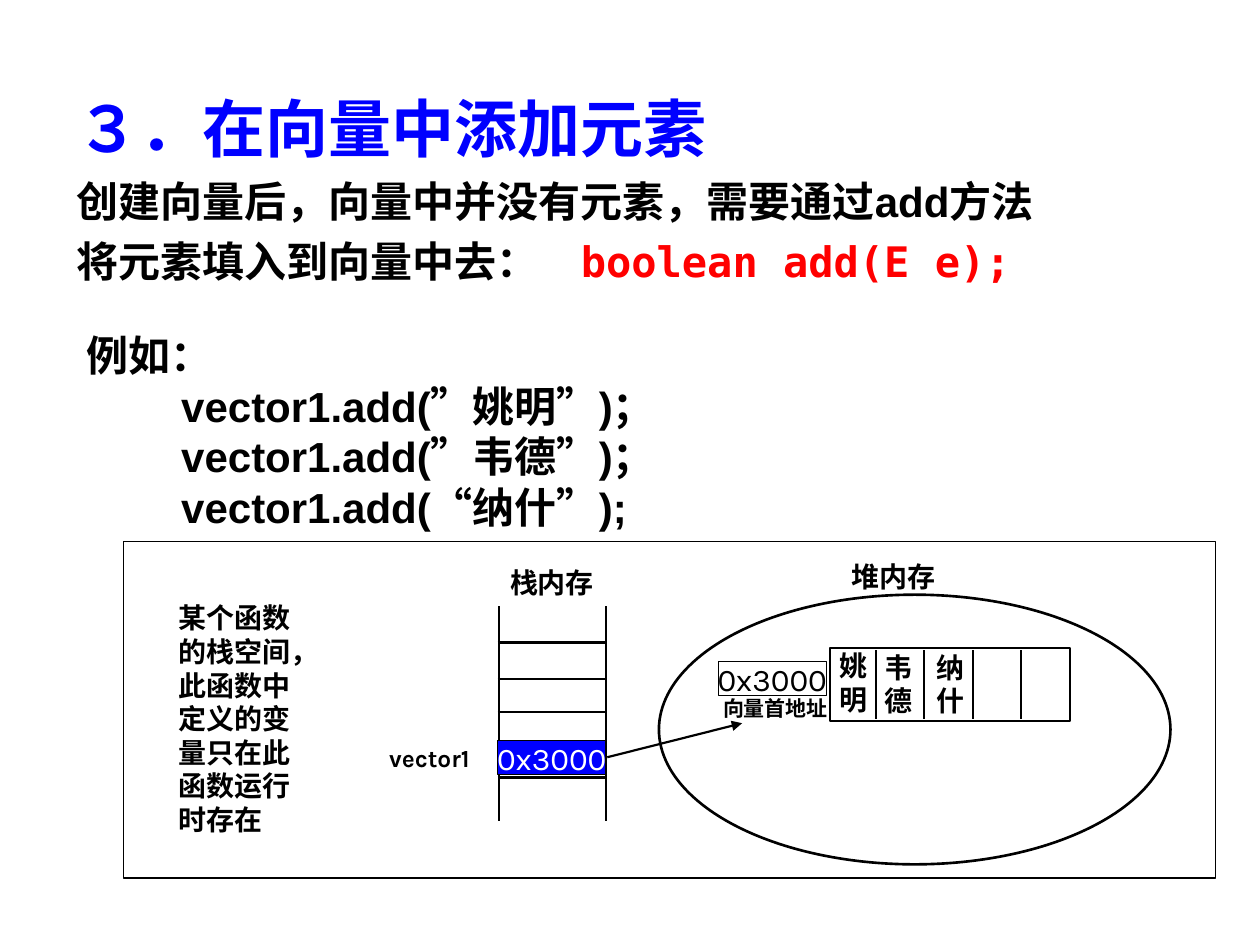
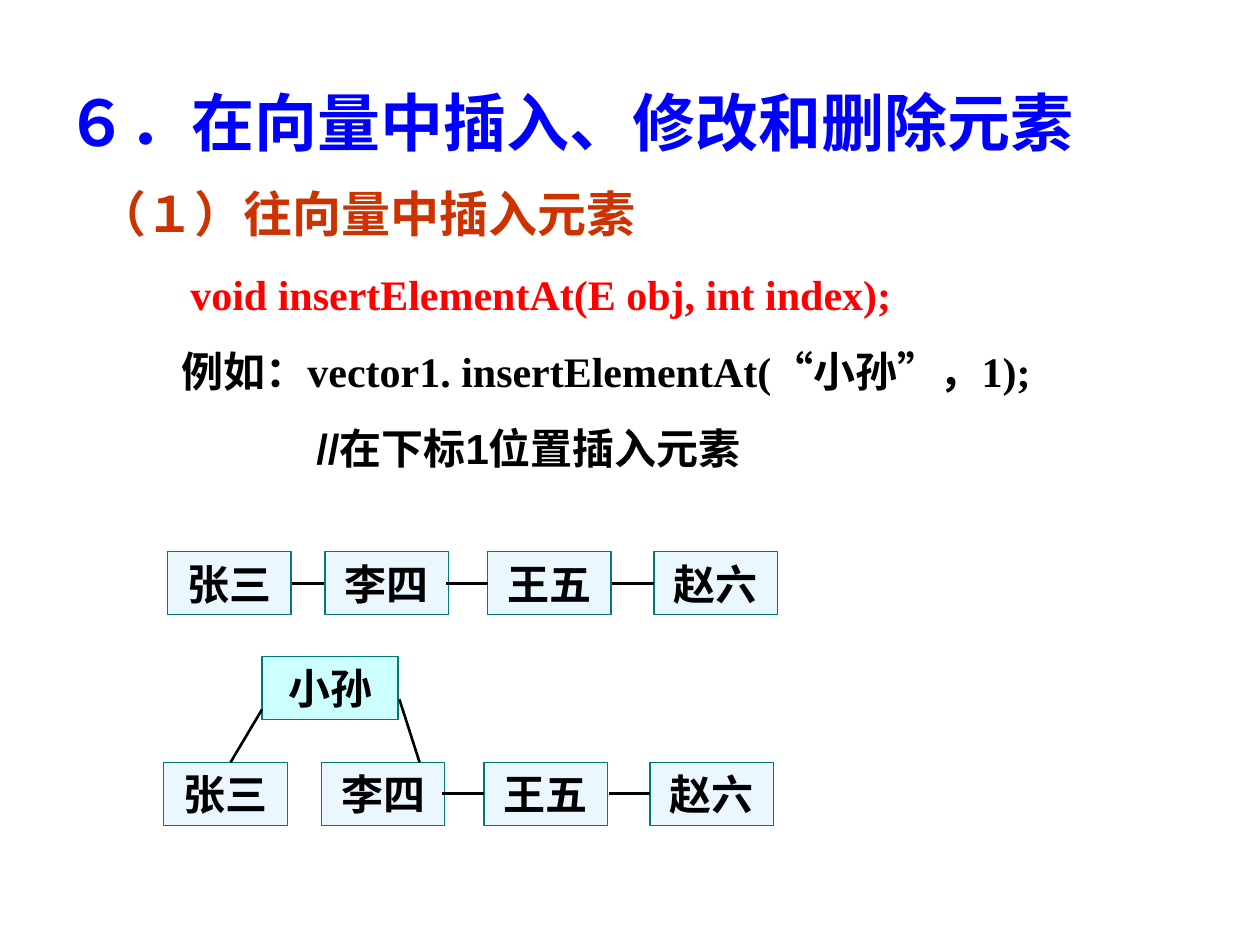
import lxml.etree
import pptx
import pptx.dml.color
import pptx.enum.dml
import pptx.enum.lang
import pptx.enum.shapes
import pptx.enum.text
import pptx.oxml.ns
import pptx.util

BLACK, WHITE, BLUE, RED = "000000", "FFFFFF", "0000FF", "FF0000"
ORANGE, TEAL, PALE_BLUE, PALE_CYAN = "CC3300", "007A77", "EBF7FF", "CCFFFF"
TITLE = dict(size=36, color=BLUE)
LABEL = dict(font="Karla", size=16)
qn = pptx.oxml.ns.qn
Inches = pptx.util.Inches


def draw(slide, kind, place, fill=None, line=BLACK, width=0.75, arrow=False):
    """Add a text box, a line (place holds both ends) or a preset shape."""
    place = [Inches(value) for value in place]
    if kind == "text":
        return slide.shapes.add_textbox(*place)
    if kind == "line":
        shape = slide.shapes.add_connector(pptx.enum.shapes.MSO_CONNECTOR.STRAIGHT, *place)
    else:
        preset = getattr(pptx.enum.shapes.MSO_SHAPE, kind.upper())
        shape = slide.shapes.add_shape(preset, *place)
        shape.shadow.inherit = False
        if fill:
            shape.fill.solid()
            shape.fill.fore_color.rgb = pptx.dml.color.RGBColor.from_string(fill)
        else:
            shape.fill.background()
    shape.line.color.rgb = pptx.dml.color.RGBColor.from_string(line)
    shape.line.width = pptx.util.Pt(width)
    if kind == "line":
        properties = shape._element.spPr
        if arrow:
            lxml.etree.SubElement(properties.find(qn("a:ln")), qn("a:tailEnd"), type="triangle")
        lxml.etree.SubElement(properties, qn("a:effectLst"))
    return shape


def write(shape, *paragraphs, place=None, size=24, font="Arial", color=BLACK, bold=True,
          align="LEFT", anchor="TOP", wrap=True, inset=None, spacing=1.2, before=0,
          indents=(), tab=None):
    """Each paragraph is a list of (text, format) runs, or plain text."""
    if place:
        shape.left, shape.top, shape.width, shape.height = [Inches(value) for value in place]
    frame = shape.text_frame
    frame.word_wrap = wrap
    frame.auto_size = pptx.enum.text.MSO_AUTO_SIZE.NONE
    frame.vertical_anchor = getattr(pptx.enum.text.MSO_ANCHOR, anchor)
    if inset is not None:
        frame.margin_left = frame.margin_right = Inches(inset)
        frame.margin_top = frame.margin_bottom = Inches(inset)
    for index, runs in enumerate(paragraphs):
        runs = [(runs, {})] if isinstance(runs, str) else runs
        paragraph = frame.add_paragraph() if index else frame.paragraphs[0]
        paragraph.alignment = getattr(pptx.enum.text.PP_ALIGN, align)
        largest = max(style.get("size", size) for _, style in runs)
        paragraph.line_spacing = pptx.util.Pt(largest * spacing)
        paragraph.space_before = pptx.util.Pt(before)
        paragraph.space_after = pptx.util.Pt(0)
        properties = paragraph._p.get_or_add_pPr()
        properties.set("marL", str(Inches(indents[index] if indents else 0)))
        properties.set("indent", "0")
        lxml.etree.SubElement(properties, qn("a:buNone"))
        if tab:
            stops = lxml.etree.SubElement(properties, qn("a:tabLst"))
            lxml.etree.SubElement(stops, qn("a:tab"), pos=str(Inches(tab)), algn="l")
        for text, style in runs:
            run = paragraph.add_run()
            run.text = text
            run.font.name = style.get("font", font)
            run.font.size = pptx.util.Pt(style.get("size", size))
            run.font.bold = bold
            run.font.language_id = pptx.enum.lang.MSO_LANGUAGE_ID.SIMPLIFIED_CHINESE
            run.font.color.rgb = pptx.dml.color.RGBColor.from_string(style.get("color", color))


presentation = pptx.Presentation()
presentation.slide_width, presentation.slide_height = Inches(10), Inches(7.5)
layout = presentation.slide_layouts[1]

# Slide 1: adding elements
slide = presentation.slides.add_slide(layout)
write(slide.shapes.title, "３．在向量中添加元素", place=(0.51, 0.54, 7.99, 0.82), spacing=1.44, **TITLE)
write(slide.placeholders[1],
      [("创建向量后，向量中并没有元素，需要通过add方法将元素填入到向量中去：\t", {}),
       ("boolean add(E\u00a0e);".replace("\u00a0", " "), dict(font="DejaVu Sans Mono", color=RED))],
      place=(0.51, 1.26, 7.99, 1.26), spacing=1.44, tab=4.42)

# Memory diagram: frame, heap and vector array
draw(slide, "rectangle", (0.98, 4.3, 8.67, 2.67), WHITE)
draw(slide, "oval", (5.23, 4.72, 4.06, 2.14), WHITE, width=1.5)
draw(slide, "rectangle", (6.59, 5.14, 1.9, 0.58), WHITE, width=1)

# Stack walls and rungs, array dividers, reference arrow
for x in (3.96, 4.81):
    draw(slide, "line", (x, 4.81, x, 6.52), width=1.5)
for y in (5.1, 5.39, 5.65, 5.9, 6.17):
    draw(slide, "line", (3.95, y, 4.82, y), width=1.5)
for column in range(4):
    x = 6.95 + column * 0.385
    draw(slide, "line", (x, 5.16, x, 5.71), width=1)
draw(slide, "line", (4.82, 6.01, 5.89, 5.74), width=1.25, arrow=True)

# Address cells
for left, top, fill, color in ((3.95, 5.88, BLUE, WHITE), (5.7, 5.25, None, BLACK)):
    cell = draw(slide, "rectangle", (left, top, 0.86, 0.27), fill)
    write(cell, "0x3000", font="Karla", size=18, color=color, bold=False,
          align="CENTER", anchor="MIDDLE", wrap=False)

# Diagram labels
for text, place, size in (("栈内存", (3.95, 4.44, 0.86, 0.37), 16),
                          ("堆内存", (6.66, 4.39, 0.86, 0.37), 16),
                          ("vector1", (2.99, 5.85, 0.93, 0.34), 14),
                          ("向量首地址", (5.64, 5.47, 1.03, 0.3), 12)):
    write(draw(slide, "text", place), text, font="Karla", size=size, wrap=False)
write(draw(slide, "text", (1.32, 4.72, 1.13, 1.97)),
      "某个函数的栈空间，此函数中定义的变量只在此函数运行时存在", **LABEL)
for text, left, top in (("姚明", 6.66, 5.15), ("韦德", 7.02, 5.16), ("纳什", 7.43, 5.16)):
    write(draw(slide, "text", (left, top, 0.33, 0.53)), text, inset=0, **LABEL)

# Code example
write(draw(slide, "text", (0.59, 2.57, 8.74, 1.7)),
      "例如：", "vector1.add(”姚明”)；", "vector1.add(”韦德”)；", "vector1.add(“纳什”);",
      indents=(0, 0.75, 0.75, 0.75))

# Slide 2: inserting elements
slide = presentation.slides.add_slide(layout)
write(slide.shapes.title, "６．在向量中插入、修改和删除元素", place=(0.42, 0.61, 9.07, 0.7), **TITLE)
serif = dict(font="Times New Roman")
write(slide.placeholders[1],
      [("（１）往向量中插入元素", dict(font="Noto Sans CJK SC", size=28, color=ORANGE))],
      [("void insertElementAt(E obj, int index);", dict(serif, color=RED))],
      [("例如：", {}), ("vector1. insertElementAt(“小孙”，1);", serif)],
      "//在下标1位置插入元素",
      place=(0.67, 1.41, 8.33, 2.39), before=15, indents=(0, 0.74, 0.67, 1.74))

# Linked elements before and after the insertion
names = ("张三", "李四", "王五", "赵六")
offsets = (0, 1.25, 2.54, 3.86)
links = ((0.99, 1.24), (2.21, 2.54), (3.53, 3.86))
nodes = [("小孙", 2.08, 5.21, 1.08, PALE_CYAN)]
for row_left, row_top in ((1.33, 4.38), (1.3, 6.05)):
    nodes += [(name, row_left + offset, row_top, 0.98, PALE_BLUE)
              for name, offset in zip(names, offsets)]
for name, left, top, width, fill in nodes:
    node = draw(slide, "rectangle", (left, top, width, 0.5), fill, TEAL)
    write(node, name, align="CENTER", anchor="MIDDLE", wrap=False, **serif)
for row_left, row_top, row_links in ((1.33, 4.38, links), (1.3, 6.05, links[1:])):
    for start, end in row_links:
        y = row_top + 0.25
        draw(slide, "line", (row_left + start, y, row_left + end, y), width=1.5)
for ends in ((1.83, 6.05, 2.08, 5.63), (3.17, 5.55, 3.33, 6.05)):
    draw(slide, "line", ends, width=1.5)

presentation.save("out.pptx")
